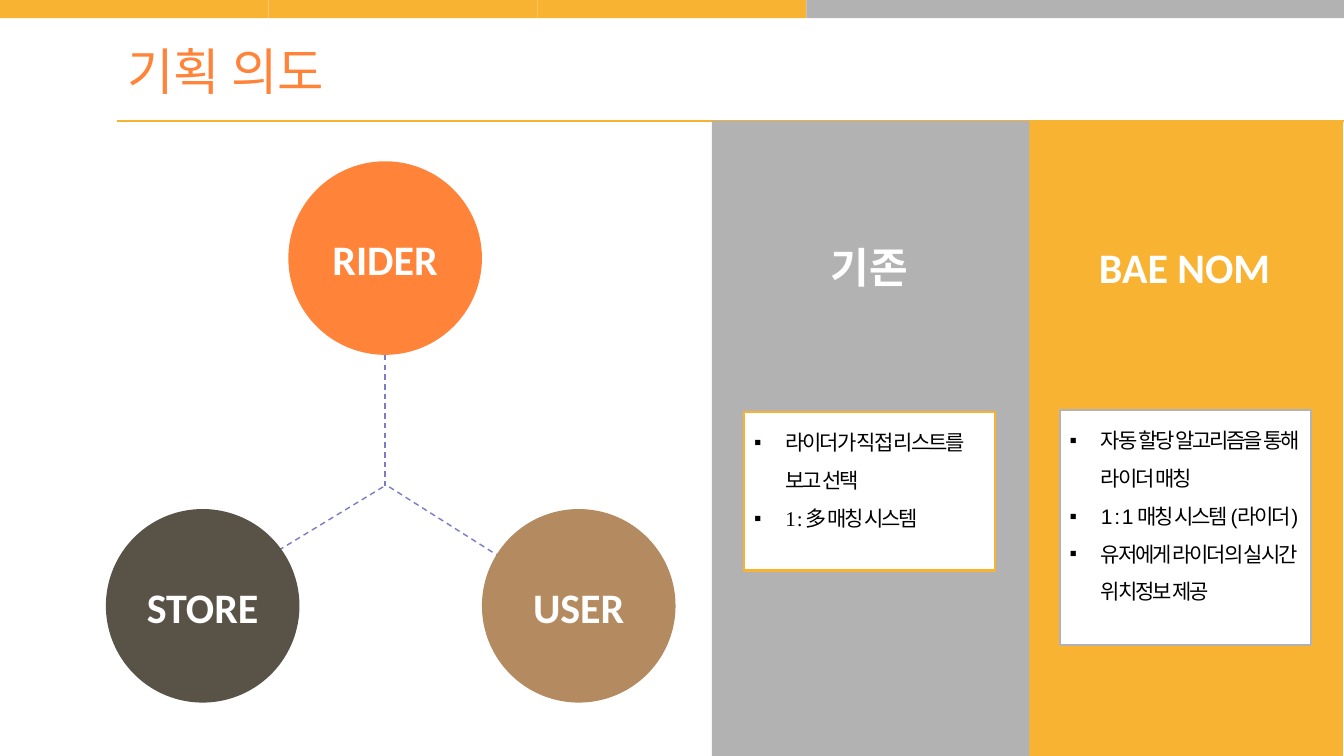
import pptx
import pptx.util
import pptx.dml.color
import pptx.enum.dml
import pptx.enum.shapes
import pptx.enum.text
import pptx.oxml
import pptx.oxml.ns

Inches = pptx.util.Inches
Pt = pptx.util.Pt
RGBColor = pptx.dml.color.RGBColor
SHAPE = pptx.enum.shapes.MSO_SHAPE
ALIGN = pptx.enum.text.PP_ALIGN
ANCHOR = pptx.enum.text.MSO_ANCHOR
FIT = pptx.enum.text.MSO_AUTO_SIZE
DASH = pptx.enum.dml.MSO_LINE.DASH

AMBER = RGBColor(0xF8, 0xB3, 0x32)
GRAY = RGBColor(0xB2, 0xB2, 0xB2)
ORANGE = RGBColor(0xFF, 0x84, 0x3A)
BROWN = RGBColor(0x59, 0x53, 0x47)
TAN = RGBColor(0xB4, 0x8B, 0x61)
VIOLET = RGBColor(0x7A, 0x7C, 0xC4)
WHITE = RGBColor(0xFF, 0xFF, 0xFF)
BLACK = RGBColor(0, 0, 0)

WIDE, HIGH = 13.33, 7.5
RULE = 1.2
DISC = 1.92
LABEL = 0.6


def add_run(para, text, size, face, color, bold=False):
    run = para.add_run()
    run.text = text
    font = run.font
    font.size, font.name, font.bold = Pt(size), face, bold
    font.color.rgb = color
    return run


def place(shape, left, top, width, height):
    shape.left, shape.top = Inches(left), Inches(top)
    shape.width, shape.height = Inches(width), Inches(height)


def add_block(slide, kind, left, top, width, height, color):
    block = slide.shapes.add_shape(
        kind, Inches(left), Inches(top), Inches(width), Inches(height))
    block.shadow.inherit = False
    block.fill.solid()
    block.fill.fore_color.rgb = color
    block.line.fill.background()


def add_line(slide, start, end, color, dash=None):
    line = slide.shapes.add_connector(
        pptx.enum.shapes.MSO_CONNECTOR.STRAIGHT,
        *(Inches(value) for value in start + end))
    line.line.color.rgb = color
    line.line.width = Pt(1)
    if dash:
        line.line.dash_style = dash
    line.element.spPr.append(pptx.oxml.parse_xml(
        f'<a:effectLst {pptx.oxml.ns.nsdecls("a")}/>'))


def add_label(slide, text, left, top, width, wrap):
    box = slide.shapes.add_textbox(
        Inches(left), Inches(top), Inches(width), Inches(LABEL))
    box.text_frame.word_wrap = wrap
    para = box.text_frame.paragraphs[0]
    para.alignment = ALIGN.CENTER
    add_run(para, text, 30, "Calibri", WHITE, True)


def fill_title(title, text):
    place(title, 1.16, 0.35, 2.32, 0.71)
    frame = title.text_frame
    frame.word_wrap, frame.auto_size = False, FIT.NONE
    frame.vertical_anchor = ANCHOR.TOP
    para = frame.paragraphs[0]
    para.alignment = ALIGN.LEFT
    add_run(para, text, 36, "Calibri", ORANGE)


def fill_list(body, spot, edge, items):
    """Frame a body placeholder, bring it to the front and bullet its items."""
    place(body, *spot)
    body.element.getparent().append(body.element)
    body.fill.solid()
    body.fill.fore_color.rgb = WHITE
    body.line.color.rgb = edge
    body.line.width = Pt(1.5)
    frame = body.text_frame
    frame.word_wrap, frame.auto_size = True, FIT.NONE
    frame.vertical_anchor = ANCHOR.TOP
    for index, (text, face) in enumerate(items):
        para = frame.add_paragraph() if index else frame.paragraphs[0]
        para.alignment = ALIGN.LEFT
        para.line_spacing = 1.5
        para.space_before = Pt(0)
        props = para._p.get_or_add_pPr()
        props.set("marL", str(Inches(0.31)))
        props.set("indent", str(Inches(-0.31)))
        props.append(pptx.oxml.parse_xml(
            f'<a:buChar {pptx.oxml.ns.nsdecls("a")} char="▪"/>'))
        run = add_run(para, text, 15, face, BLACK)
        run._r.get_or_add_rPr().set("spc", "-150")


def main():
    deck = pptx.Presentation()
    deck.slide_width, deck.slide_height = Inches(WIDE), Inches(HIGH)
    slide = deck.slides.add_slide(deck.slide_layouts.get_by_name("Two Content"))
    title, old, new = slide.placeholders
    fill_title(title, "기획 의도")

    step = WIDE / 5
    for index, color in enumerate([AMBER] * 3 + [GRAY] * 2):
        add_block(slide, SHAPE.RECTANGLE, index * step, 0, step, 0.18, color)
    add_line(slide, (1.16, RULE), (WIDE, RULE), AMBER)

    for start, end in [((3.82, 3.52), (3.82, 4.82)),
                       ((3.8, 4.83), (2.4, 5.68)),
                       ((3.86, 4.83), (5.03, 5.57))]:
        add_line(slide, start, end, VIOLET, DASH.DASH)

    for text, left, top, color in [("STORE", 1.05, 5.05, BROWN),
                                   ("RIDER", 2.86, 1.6, ORANGE),
                                   ("USER", 4.78, 5.05, TAN)]:
        add_block(slide, SHAPE.OVAL, left, top, DISC, DISC, color)
        add_label(slide, text, left, top + 0.67, DISC, False)

    for text, left, width, color, middle in [
            ("BAE NOM", 10.19, 3.13, AMBER, 11.75),
            ("기존", 7.06, 3.15, GRAY, 8.62)]:
        add_block(slide, SHAPE.RECTANGLE, left, RULE, width, HIGH - RULE, color)
        add_label(slide, text, middle - 0.97, 2.35, 1.94, True)

    fill_list(old, (7.38, 4.09, 2.49, 1.57), AMBER, [
        ("라이더가 직접 리스트를 보고 선택", "Arial"),
        ("1 : 多 매칭 시스템", "Times New Roman")])
    fill_list(new, (10.51, 4.07, 2.49, 2.33), GRAY, [
        ("자동 할당 알고리즘을 통해 라이더 매칭", "Times New Roman"),
        ("1 : 1 매칭 시스템 (라이더)", "Arial"),
        ("유저에게 라이더의 실시간 위치정보 제공", "Times New Roman")])
    deck.save("out.pptx")


if __name__ == "__main__":
    main()
